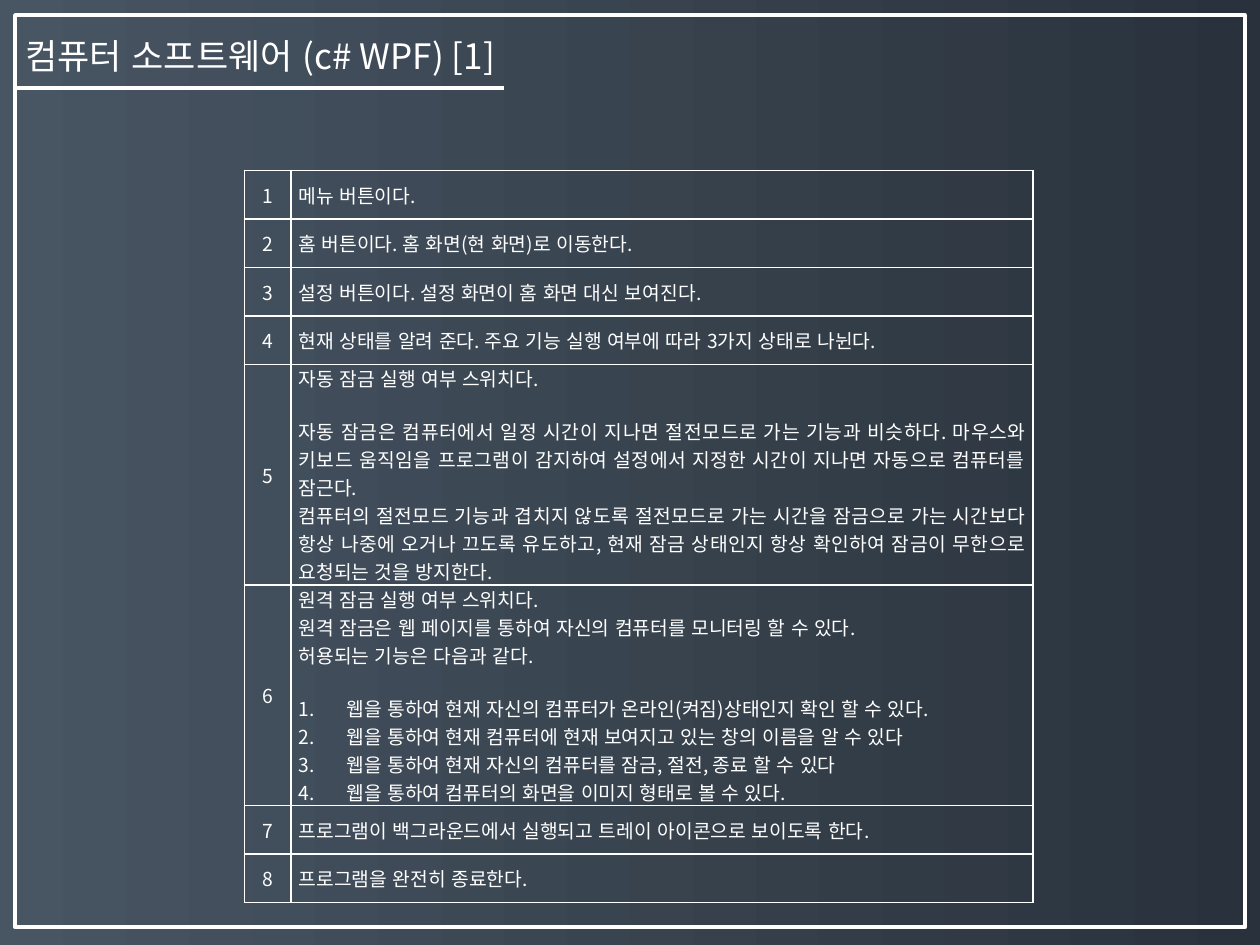
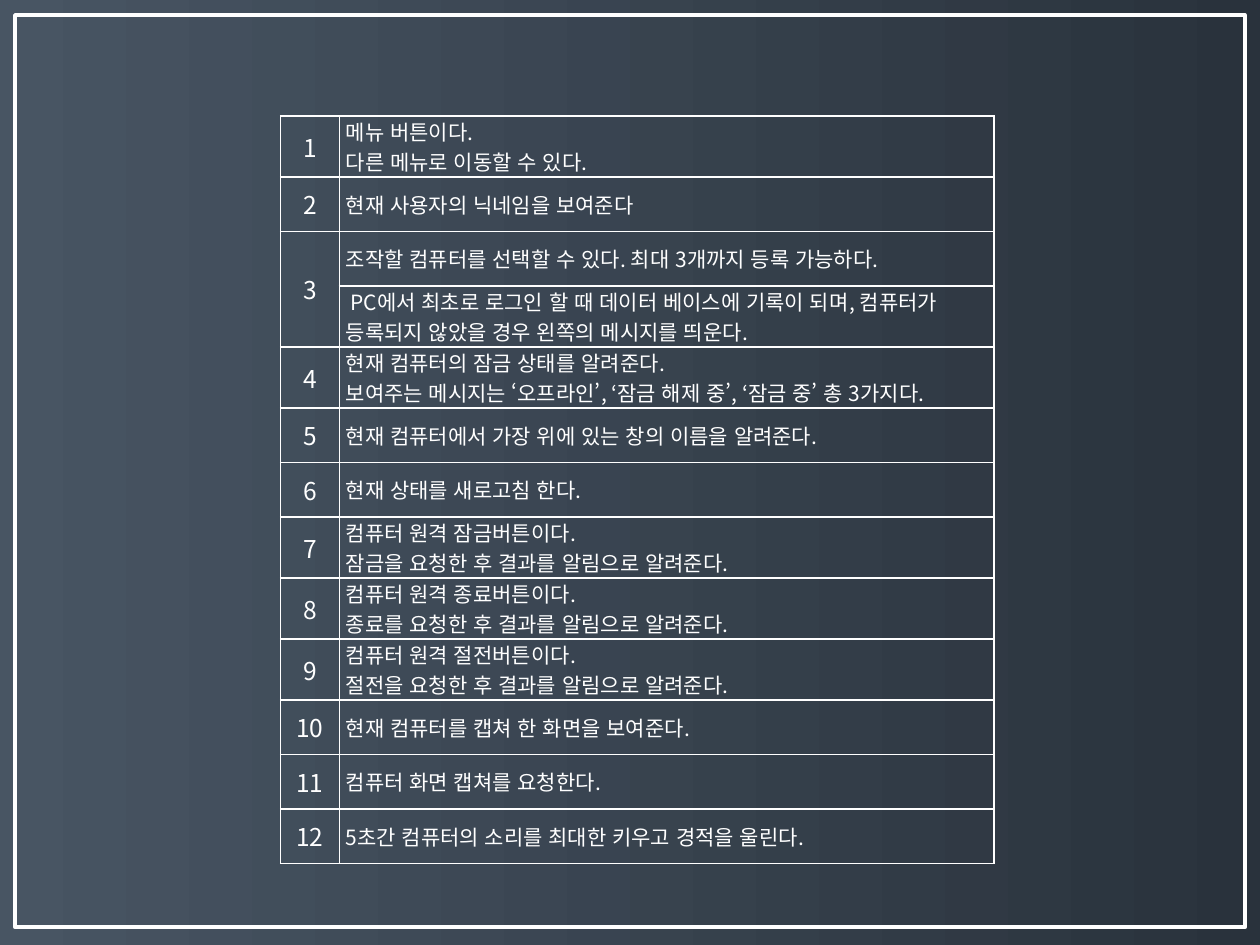
import collections
import pptx
import pptx.dml.color
import pptx.enum.shapes
import pptx.enum.text
import pptx.oxml.ns
import pptx.util
from lxml import etree

WIDE, HIGH = pptx.util.Inches(10), pptx.util.Inches(7.5)
FONT = "Noto Sans CJK KR"
WHITE, START, END = "FFFFFF", "485563", "29323C"
ALIGN = pptx.enum.text.PP_ALIGN
MID = pptx.enum.text.MSO_ANCHOR.MIDDLE
LOW, TALL, ROW = 5.13, 17.6, 5.77

Para = collections.namedtuple("Para", "text gap num", defaults=(False, False))
Look = collections.namedtuple("Look", "cols mark size align inset")

MENU = [
    ("1", LOW, ["메뉴 버튼이다."]),
    ("2", LOW, ["홈 버튼이다. 홈 화면(현 화면)로 이동한다."]),
    ("3", LOW, ["설정 버튼이다. 설정 화면이 홈 화면 대신 보여진다."]),
    ("4", LOW, ["현재 상태를 알려 준다. 주요 기능 실행 여부에 따라 3가지 상태로 나뉜다."]),
    ("5", TALL, [
        "자동 잠금 실행 여부 스위치다.",
        Para("자동 잠금은 컴퓨터에서 일정 시간이 지나면 절전모드로 가는 기능과 비슷하다. "
             "마우스와 키보드 움직임을 프로그램이 감지하여 설정에서 지정한 시간이 지나면 "
             "자동으로 컴퓨터를 잠근다.", gap=True),
        "컴퓨터의 절전모드 기능과 겹치지 않도록 절전모드로 가는 시간을 잠금으로 가는 시간보다 "
        "항상 나중에 오거나 끄도록 유도하고, 현재 잠금 상태인지 항상 확인하여 잠금이 무한으로 "
        "요청되는 것을 방지한다."]),
    ("6", TALL, [
        "원격 잠금 실행 여부 스위치다.",
        "원격 잠금은 웹 페이지를 통하여 자신의 컴퓨터를 모니터링 할 수 있다.",
        "허용되는 기능은 다음과 같다.",
        Para("웹을 통하여 현재 자신의 컴퓨터가 온라인(켜짐)상태인지 확인 할 수 있다.", True, True),
        Para("웹을 통하여 현재 컴퓨터에 현재 보여지고 있는 창의 이름을 알 수 있다", num=True),
        Para("웹을 통하여 현재 자신의 컴퓨터를 잠금, 절전, 종료 할 수 있다", num=True),
        Para("웹을 통하여 컴퓨터의 화면을 이미지 형태로 볼 수 있다.", num=True)]),
    ("7", LOW, ["프로그램이 백그라운드에서 실행되고 트레이 아이콘으로 보이도록 한다."]),
    ("8", LOW, ["프로그램을 완전히 종료한다."]),
]


def press(num, act, verb):
    """Return the row of one remote button."""
    return (num, ROW, [f"컴퓨터 원격 {act}버튼이다.",
                       f"{verb} 요청한 후 결과를 알림으로 알려준다."])


REMOTE = [
    ("1", ROW, ["메뉴 버튼이다.", "다른 메뉴로 이동할 수 있다."]),
    ("2", ROW, ["현재 사용자의 닉네임을 보여준다"]),
    ("3", ROW, ["조작할 컴퓨터를 선택할 수 있다. 최대 3개까지 등록 가능하다."]),
    ("", 6.13, [" PC에서 최초로 로그인 할 때 데이터 베이스에 기록이 되며, "
                "컴퓨터가 등록되지 않았을 경우 왼쪽의 메시지를 띄운다."]),
    ("4", ROW, ["현재 컴퓨터의 잠금 상태를 알려준다.",
                "보여주는 메시지는 ‘오프라인’, ‘잠금 해제 중’, ‘잠금 중’ 총 3가지다."]),
    ("5", ROW, ["현재 컴퓨터에서 가장 위에 있는 창의 이름을 알려준다."]),
    ("6", ROW, ["현재 상태를 새로고침 한다."]),
    press("7", "잠금", "잠금을"),
    press("8", "종료", "종료를"),
    press("9", "절전", "절전을"),
    ("10", ROW, ["현재 컴퓨터를 캡쳐 한 화면을 보여준다."]),
    ("11", ROW, ["컴퓨터 화면 캡쳐를 요청한다."]),
    ("12", ROW, ["5초간 컴퓨터의 소리를 최대한 키우고 경적을 울린다."]),
]


def across(part):
    """Turn a percentage of the slide's width into a length."""
    return round(WIDE * part / 100)


def down(part):
    """Turn a percentage of the slide's height into a length."""
    return round(HIGH * part / 100)


def tint(color, code):
    """Set a colour from a hex string."""
    color.rgb = pptx.dml.color.RGBColor.from_string(code)


def node(root, tag, **attrs):
    """Add a drawing element and return it."""
    return etree.SubElement(root, pptx.oxml.ns.qn("a:" + tag), **attrs)


def style(para, size, align):
    """Format a paragraph and its runs as Korean text."""
    para.alignment = align
    for run in para.runs:
        run.font.size = pptx.util.Pt(size)
        run.font.name = FONT
        tint(run.font.color, WHITE)
        props = run.font._element
        props.set("lang", "ko-KR")
        props.set("altLang", "en-US")
        node(props, "ea", typeface=FONT)


def backdrop(master):
    """Give the master the shared gradient."""
    fill = master.background.fill
    fill.gradient()
    fill.gradient_angle = 0
    for stop, code in zip(fill.gradient_stops, (START, END)):
        tint(stop.color, code)


def stroke(line):
    """Apply the thick white line."""
    tint(line.color, WHITE)
    line.width = pptx.util.Pt(2.25)


def frame(slide):
    """Draw the outline around a slide."""
    edge = slide.shapes.add_shape(
        pptx.enum.shapes.MSO_SHAPE.RECTANGLE,
        across(1.2), down(1.6), across(97.6), down(96.53))
    edge.shadow.inherit = False
    edge.fill.background()
    stroke(edge.line)


def title(slide, text):
    """Fill the title and underline it."""
    head = slide.shapes.title
    head.left, head.top = across(1), down(2.93)
    head.width, head.height = across(40.3), down(5.87)
    body = head.text_frame
    body.text = text
    body.word_wrap = False
    body.auto_size = pptx.enum.text.MSO_AUTO_SIZE.NONE
    body.vertical_anchor = MID
    style(body.paragraphs[0], 20, ALIGN.LEFT)
    rule = slide.shapes.add_connector(
        pptx.enum.shapes.MSO_CONNECTOR.STRAIGHT,
        across(1), down(9.33), across(40), down(9.33))
    stroke(rule.line)
    node(rule._element.spPr, "effectLst")


def number(para):
    """Number a paragraph with a hanging indent."""
    props = para._p.get_or_add_pPr()
    hang = pptx.util.Inches(0.38)
    props.set("marL", str(hang))
    props.set("indent", str(-hang))
    node(props, "buFont", typeface="+mj-lt")
    node(props, "buAutoNum", type="arabicPeriod")


def border(cell):
    """Draw thin white lines on all sides of a cell."""
    props = cell._tc.get_or_add_tcPr()
    for spot, side in enumerate("LRTB"):
        line = node(props, "ln" + side, w=str(pptx.util.Pt(1)))
        node(node(line, "solidFill"), "srgbClr", val=WHITE)
        props.insert(spot, line)


def fill(cell, items, size, align, inset):
    """Write paragraphs into a bordered clear cell."""
    cell.fill.background()
    border(cell)
    cell.vertical_anchor = MID
    cell.margin_left = cell.margin_right = pptx.util.Inches(inset)
    cell.margin_top = cell.margin_bottom = 0
    items = [Para(item) if isinstance(item, str) else item for item in items]
    cell.text_frame.text = "\n".join(item.text for item in items)
    for para, item in zip(cell.text_frame.paragraphs, items):
        if item.num:
            number(para)
        if item.gap:
            para.space_before = pptx.util.Pt(14.4)
        style(para, size, align)


def table(slide, left, top, rows, look):
    """Add a table of numbers and notes; a row with no number joins the one above."""
    grid = slide.shapes.add_table(
        len(rows), 2, across(left), down(top), across(sum(look.cols)),
        down(sum(row[1] for row in rows))).table
    grid.first_row = grid.horz_banding = False
    for col, part in zip(grid.columns, look.cols):
        col.width = across(part)
    for at, (mark, tall, notes) in enumerate(rows):
        grid.rows[at].height = down(tall)
        fill(grid.cell(at, 0), [mark], look.mark, ALIGN.CENTER, look.inset)
        fill(grid.cell(at, 1), notes, look.size, look.align, look.inset)
        if not mark:
            grid.cell(at - 1, 0).merge(grid.cell(at, 0))


def main():
    """Build both slides."""
    deck = pptx.Presentation()
    deck.slide_width, deck.slide_height = WIDE, HIGH
    backdrop(deck.slide_master)
    only, blank = deck.slide_layouts[5], deck.slide_layouts[6]

    slide = deck.slides.add_slide(only)
    frame(slide)
    table(slide, 19.4, 18.03, MENU, Look((3.7, 58.9), 11, 11, ALIGN.JUSTIFY, 0.06))
    title(slide, "컴퓨터 소프트웨어 (c# WPF) [1]")

    slide = deck.slides.add_slide(blank)
    frame(slide)
    table(slide, 22.27, 12.27, REMOTE, Look((4.67, 51.95), 14, 12, ALIGN.LEFT, 0.05))
    deck.save("out.pptx")


if __name__ == "__main__":
    main()
